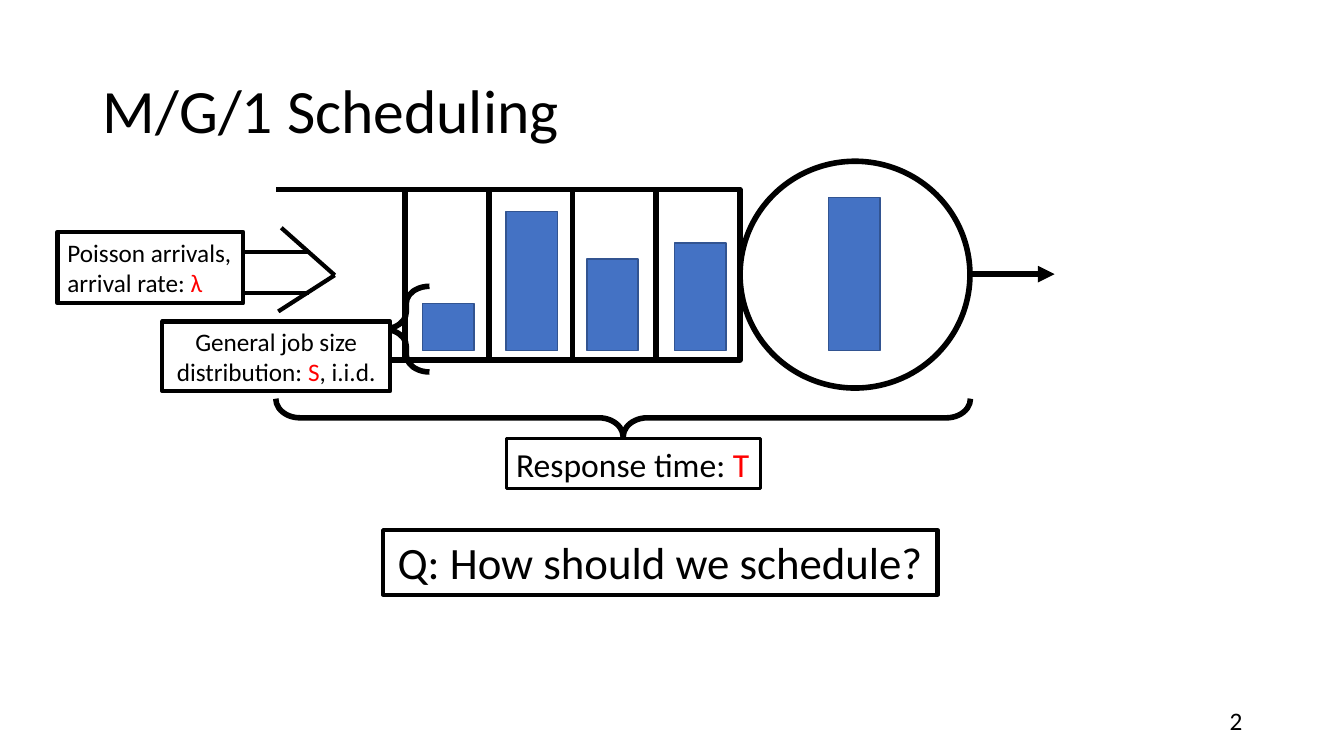
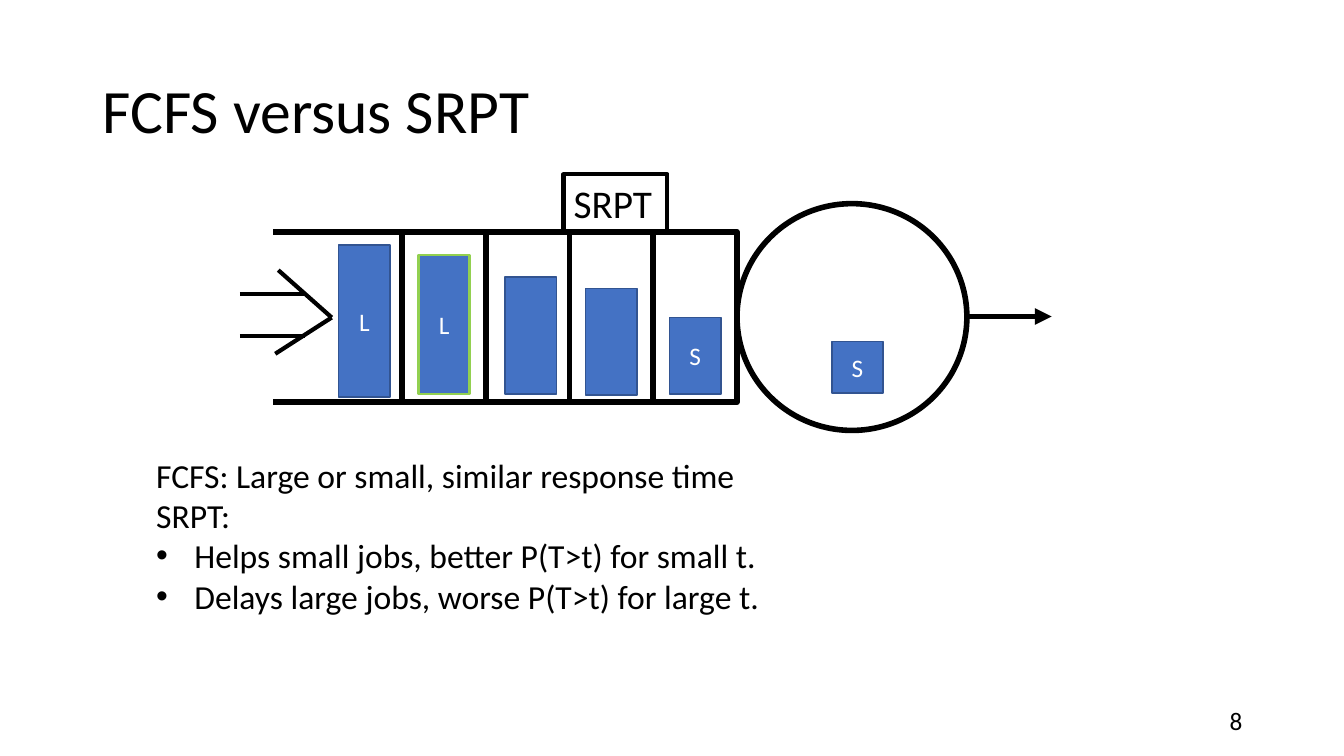
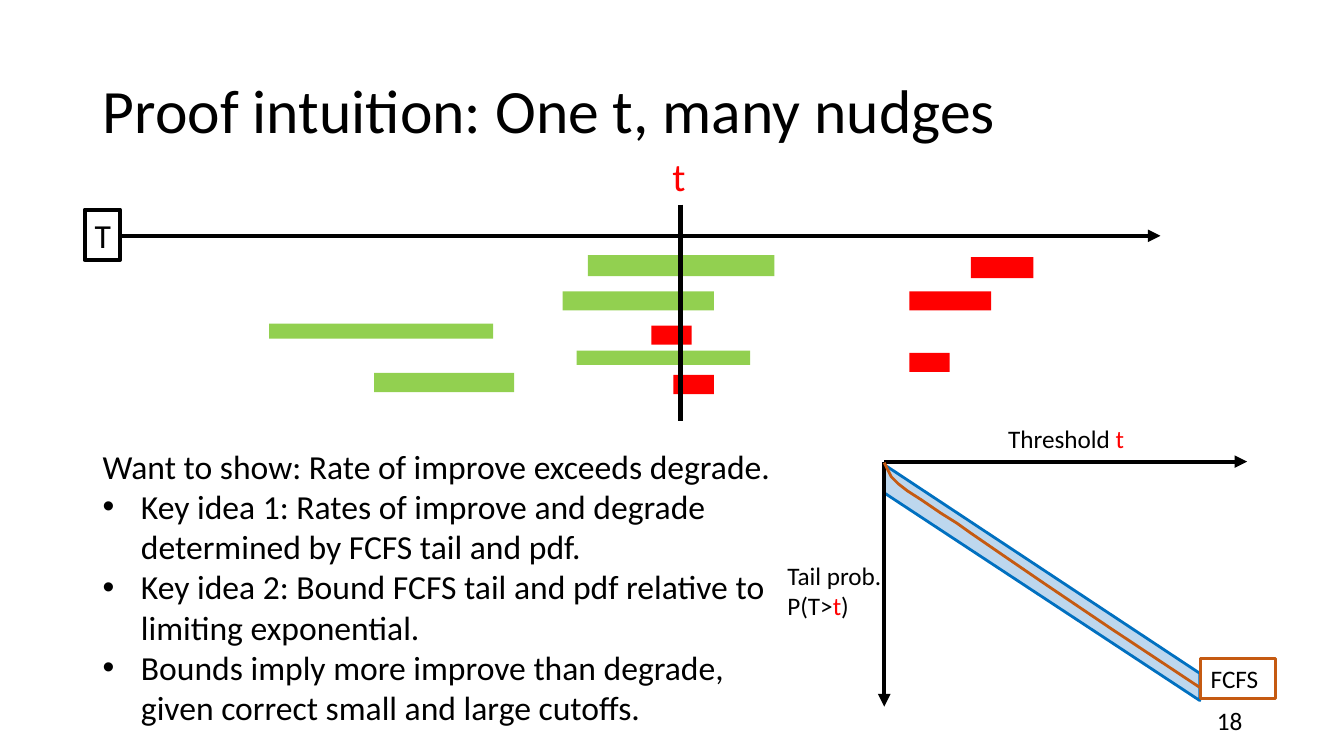
from lxml import etree
from pptx import Presentation
from pptx.dml.color import RGBColor
from pptx.enum.shapes import MSO_CONNECTOR, MSO_SHAPE
from pptx.enum.text import MSO_ANCHOR, MSO_AUTO_SIZE, PP_ALIGN
from pptx.oxml.ns import qn
from pptx.util import Inches, Pt

RECTANGLE = MSO_SHAPE.RECTANGLE
ELLIPSE = MSO_SHAPE.OVAL
LEFT_BRACE, RIGHT_BRACE = MSO_SHAPE.LEFT_BRACE, MSO_SHAPE.RIGHT_BRACE
STRAIGHT = MSO_CONNECTOR.STRAIGHT
LEFT, CENTER, RIGHT = PP_ALIGN.LEFT, PP_ALIGN.CENTER, PP_ALIGN.RIGHT
TOP, MIDDLE = MSO_ANCHOR.TOP, MSO_ANCHOR.MIDDLE
NO_AUTOFIT = MSO_AUTO_SIZE.NONE

FONT = "Calibri"
TITLE_ONLY = 5
COLORS = {
    "ink": "000000",
    "paper": "FFFFFF",
    "accent": "FF0000",
    "job": "4472C4",
    "job_edge": "325491",
    "improve": "92D050",
    "band": "BDD7EE",
    "band_edge": "0070C0",
    "curve": "C55A11",
}


def rgb(name):
    return RGBColor.from_string(COLORS[name])


# Shared drawing helpers
def style_shape(shape, fill=None, line=None, width=1):
    shape.shadow.inherit = False
    if fill:
        shape.fill.solid()
        shape.fill.fore_color.rgb = rgb(fill)
    else:
        shape.fill.background()
    if line:
        shape.line.color.rgb = rgb(line)
        shape.line.width = Pt(width)
    else:
        shape.line.fill.background()
    return shape


def add_box(slide, box, fill=None, line=None, width=1, kind=RECTANGLE):
    shape = slide.shapes.add_shape(kind, *map(Inches, box))
    return style_shape(shape, fill, line, width)


def add_line(slide, start, end, width=3, arrow=False):
    connector = slide.shapes.add_connector(
        STRAIGHT, *map(Inches, (*start, *end)))
    connector.line.color.rgb = rgb("ink")
    connector.line.width = Pt(width)
    properties = connector.element.spPr
    if arrow:
        outline = properties.find(qn("a:ln"))
        etree.SubElement(outline, qn("a:tailEnd"), type="triangle")
    etree.SubElement(properties, qn("a:effectLst"))


def add_polygon(slide, points, closed, fill=None, line=None, width=2):
    builder = slide.shapes.build_freeform(
        *map(Inches, points[0]), scale=1.0)
    builder.add_line_segments(
        [(Inches(x), Inches(y)) for x, y in points[1:]], close=closed)
    style_shape(builder.convert_to_shape(), fill, line, width)


def add_bullet(paragraph):
    properties = paragraph._p.get_or_add_pPr()
    properties.set("marL", str(Inches(0.38)))
    properties.set("indent", str(Inches(-0.38)))
    etree.SubElement(properties, qn("a:buFont"), typeface="Arial")
    etree.SubElement(properties, qn("a:buChar"), char="•")


def write(shape, paragraphs, size, color="ink", align=LEFT, anchor=TOP,
          wrap=True, bullets_from=None):
    """Each paragraph is a list of pieces, alternately plain and accented."""
    frame = shape.text_frame
    frame.word_wrap = wrap
    frame.vertical_anchor = anchor
    for index, pieces in enumerate(paragraphs):
        paragraph = frame.add_paragraph() if index else frame.paragraphs[0]
        if bullets_from is not None and index >= bullets_from:
            add_bullet(paragraph)
        paragraph.alignment = align
        paragraph.font.name = FONT
        paragraph.font.size = Pt(size)
        paragraph.font.color.rgb = rgb(color)
        for position, piece in enumerate(pieces):
            if piece:
                run = paragraph.add_run()
                run.text = piece
                if position % 2:
                    run.font.color.rgb = rgb("accent")


def add_text(slide, box, paragraphs, size, **options):
    write(slide.shapes.add_textbox(*map(Inches, box)),
          paragraphs, size, **options)


def add_label(slide, box, pieces, size, fill=None, line="ink", width=3,
              **options):
    write(add_box(slide, box, fill, line, width), [pieces], size, **options)


def add_titled_slide(presentation, title, number):
    slide = presentation.slides.add_slide(
        presentation.slide_layouts[TITLE_ONLY])
    holder = slide.shapes.title
    holder.left, holder.top = Inches(0.92), Inches(0.4)
    holder.width, holder.height = Inches(11.5), Inches(1.45)
    write(holder, [[title]], 44, anchor=MIDDLE)
    holder.text_frame.auto_size = NO_AUTOFIT
    holder.text_frame.paragraphs[0].line_spacing = 0.9
    add_text(slide, (9.42, 6.95, 3, 0.4), [[str(number)]], 18,
             align=RIGHT, anchor=MIDDLE)
    return slide


# Queue with arrivals, waiting room, server and departures
def add_queue(slide, left, top, jobs):
    length, height, cell_width, cell_count = 4.6, 1.69, 0.83, 4
    server_width = 2.28

    def at(x, y):
        return left + x, top + y

    # Arrival arrow
    tip = at(0.58, 0.85)
    add_line(slide, at(0.05, 0.38), tip)
    add_line(slide, at(0.02, 1.21), tip)
    for y in (0.62, 1.03):
        add_line(slide, at(-0.33, y), at(0.32, y))

    # Waiting room
    for y in (0, height):
        add_line(slide, at(0, y), at(length, y), 4)
    for index in range(cell_count):
        x = length - (index + 1) * cell_width
        add_box(slide, (*at(x, 0), cell_width, height), "paper", "ink", 4)

    # Server and departures
    add_box(slide, (*at(length, -0.28), server_width, 2.25),
            "paper", "ink", 4, ELLIPSE)
    exit_x = length + server_width
    add_line(slide, at(exit_x, 0.84), at(exit_x + 0.84, 0.84), 4, arrow=True)

    # Jobs
    for x, y, job_height, name, edge, edge_width in jobs:
        shape = add_box(slide, (*at(x, y), 0.51, job_height),
                        "job", edge, edge_width)
        if name:
            write(shape, [[name]], 18, "paper", CENTER, MIDDLE)


# Differences in response time along the time axis
def add_nudges(slide, left, top):
    bars = {
        "improve": [(4.99, 0.19, 1.85, 0.21), (4.74, 0.55, 1.5, 0.19),
                    (1.83, 0.87, 2.22, 0.15), (4.88, 1.14, 1.72, 0.14),
                    (2.87, 1.36, 1.39, 0.19)],
        "accent": [(8.79, 0.21, 0.62, 0.21), (8.18, 0.55, 0.81, 0.19),
                   (5.62, 0.89, 0.4, 0.19), (8.18, 1.16, 0.4, 0.19),
                   (5.84, 1.38, 0.4, 0.19)],
    }
    for color, boxes in bars.items():
        for x, y, width, height in boxes:
            add_box(slide, (left + x, top + y, width, height), color)
    add_line(slide, (left + 0.35, top), (left + 10.67, top), arrow=True)
    add_line(slide, (left + 5.91, top - 0.31), (left + 5.91, top + 1.84))
    add_text(slide, (left + 5.73, top - 0.88, 0.29, 0.57), [["", "t"]], 28,
             wrap=False)
    add_label(slide, (left, top - 0.26, 0.35, 0.5), ["T"], 24, wrap=False)


# Tail probability sketch with its bounds
def add_tail_sketch(slide, left, top):
    def at(points):
        return [(left + x, top + y) for x, y in points]

    add_polygon(slide, at([(0, 0.03), (3.13, 2.1), (3.13, 2.37), (0, 0.31)]),
                True, "band", "band_edge")
    add_line(slide, (left, top), (left + 3.6, top), arrow=True)
    add_line(slide, (left, top), (left, top + 2.43), arrow=True)
    curve = [(0, 0.01), (0.03, 0.07), (0.07, 0.15), (0.14, 0.22),
             (0.23, 0.29), (0.37, 0.38), (0.56, 0.51), (0.72, 0.61),
             (0.86, 0.71), (1.18, 0.93), (1.56, 1.19), (2.24, 1.65),
             (3.13, 2.24)]
    add_polygon(slide, at(curve), False, line="curve")
    add_text(slide, (left + 1.13, top - 0.43, 1.44, 0.4),
             [["Threshold ", "t"]], 18)
    add_text(slide, (left - 1.06, top + 0.93, 1.19, 0.71),
             [["Tail prob."], ["P(T>", "t", ")"]], 18)
    add_label(slide, (left + 3.14, top + 1.95, 0.74, 0.4), ["FCFS"], 18,
              line="curve", width=2)


# Braces and labels around the queue
def add_queue_notes(slide, left, top):
    add_label(slide, (left - 2.17, top + 0.42, 1.84, 0.71),
              ["Poisson arrivals, arrival rate: ", "λ"], 18)
    size_brace = add_box(slide, (left + 1.06, top + 0.96, 0.46, 0.85),
                         line="ink", width=4, kind=LEFT_BRACE)
    size_brace.adjustments[0] = 0.37
    add_label(slide, (left - 1.13, top + 1.31, 2.26, 0.69),
              ["General job size distribution: ", "S", ", i.i.d."], 18,
              fill="paper", align=CENTER, anchor=MIDDLE)
    time_brace = add_box(slide, (left + 3.25, top - 1.18, 0.38, 6.89),
                         line="ink", width=4, kind=RIGHT_BRACE)
    time_brace.rotation = 90
    time_brace.adjustments[0] = 0.63
    add_label(slide, (left + 2.28, top + 2.47, 2.52, 0.5),
              ["Response time: ", "T"], 24, fill="paper", width=2, wrap=False)


def build_scheduling_slide(presentation):
    slide = add_titled_slide(presentation, "M/G/1 Scheduling", 2)
    jobs = [(1.45, 1.13, 0.47), (2.28, 0.22, 1.38), (3.08, 0.69, 0.91),
            (3.95, 0.53, 1.07), (5.48, 0.08, 1.52)]
    left, top = 2.74, 1.88
    add_queue(slide, left, top, [(*job, "", "job_edge", 1) for job in jobs])
    add_queue_notes(slide, left, top)
    add_label(slide, (3.8, 5.26, 5.5, 0.64), ["Q: How should we schedule?"],
              32, align=CENTER)


def build_comparison_slide(presentation):
    slide = add_titled_slide(presentation, "FCFS versus SRPT", 8)
    add_queue(slide, 2.71, 2.3, [
        (0.65, 0.13, 1.51, "L", "job_edge", 1),
        (1.44, 0.23, 1.38, "L", "improve", 2),
        (2.3, 0.45, 1.16, "", "job_edge", 1),
        (3.1, 0.56, 1.06, "", "job_edge", 1),
        (3.93, 0.85, 0.76, "S", "job_edge", 1),
        (5.54, 1.09, 0.51, "S", "job_edge", 1),
    ])
    add_label(slide, (5.59, 1.73, 1.03, 0.57), ["SRPT"], 28)
    add_text(slide, (1.45, 4.46, 7.52, 2.52), [
        ["FCFS: Large or small, similar response time"],
        ["SRPT:"],
        ["Helps small jobs, better P(T>t) for small t."],
        ["Delays large jobs, worse P(T>t) for large t."],
    ], 24, bullets_from=2)


def build_proof_slide(presentation):
    slide = add_titled_slide(
        presentation, "Proof intuition: One t, many nudges", 18)
    add_nudges(slide, 0.84, 2.34)
    add_text(slide, (0.92, 4.37, 6.86, 2.93), [
        ["Want to show: Rate of improve exceeds degrade."],
        ["Key idea 1: Rates of improve and degrade determined by FCFS tail "
         "and pdf."],
        ["Key idea 2: Bound FCFS tail and pdf relative to limiting "
         "exponential."],
        ["Bounds imply more improve than degrade, given correct small and "
         "large cutoffs."],
    ], 24, bullets_from=1)
    add_tail_sketch(slide, 8.77, 4.58)


def main():
    presentation = Presentation()
    presentation.slide_width = Inches(13.33)
    presentation.slide_height = Inches(7.5)
    build_scheduling_slide(presentation)
    build_comparison_slide(presentation)
    build_proof_slide(presentation)
    presentation.save("out.pptx")


if __name__ == "__main__":
    main()
